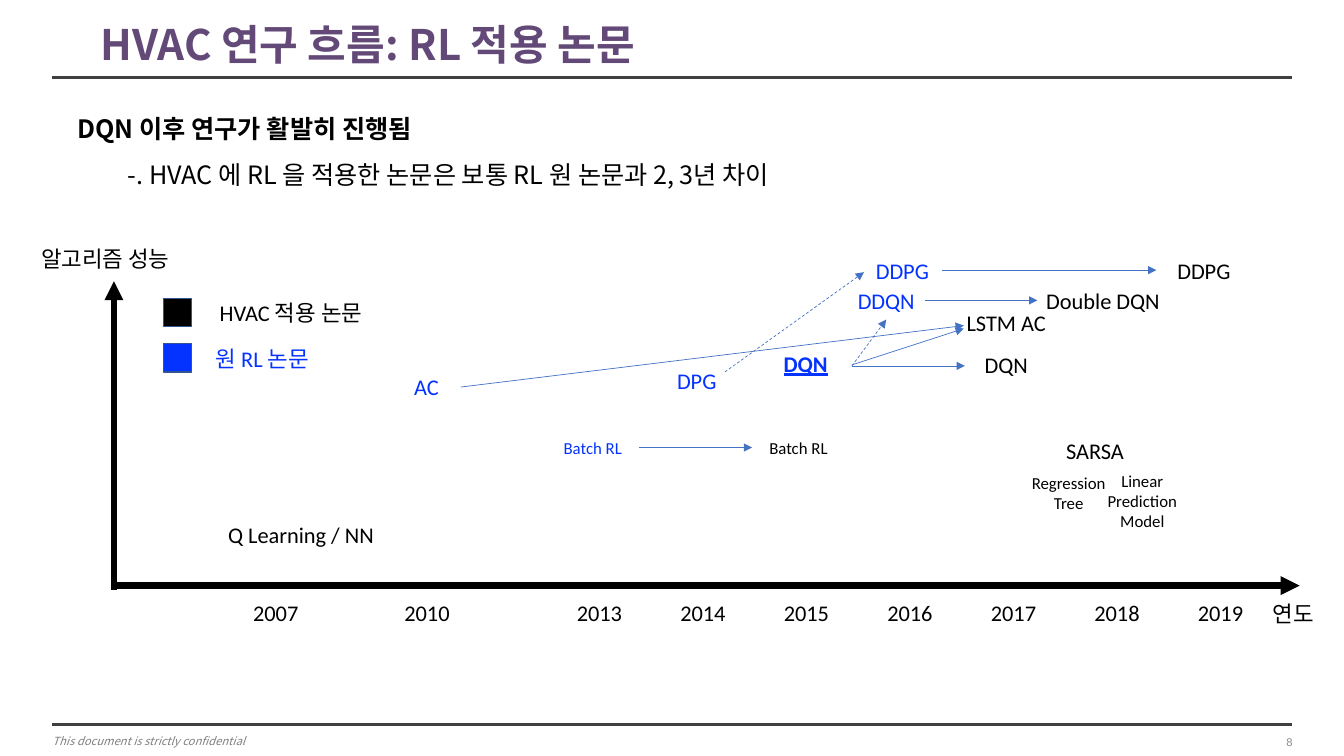
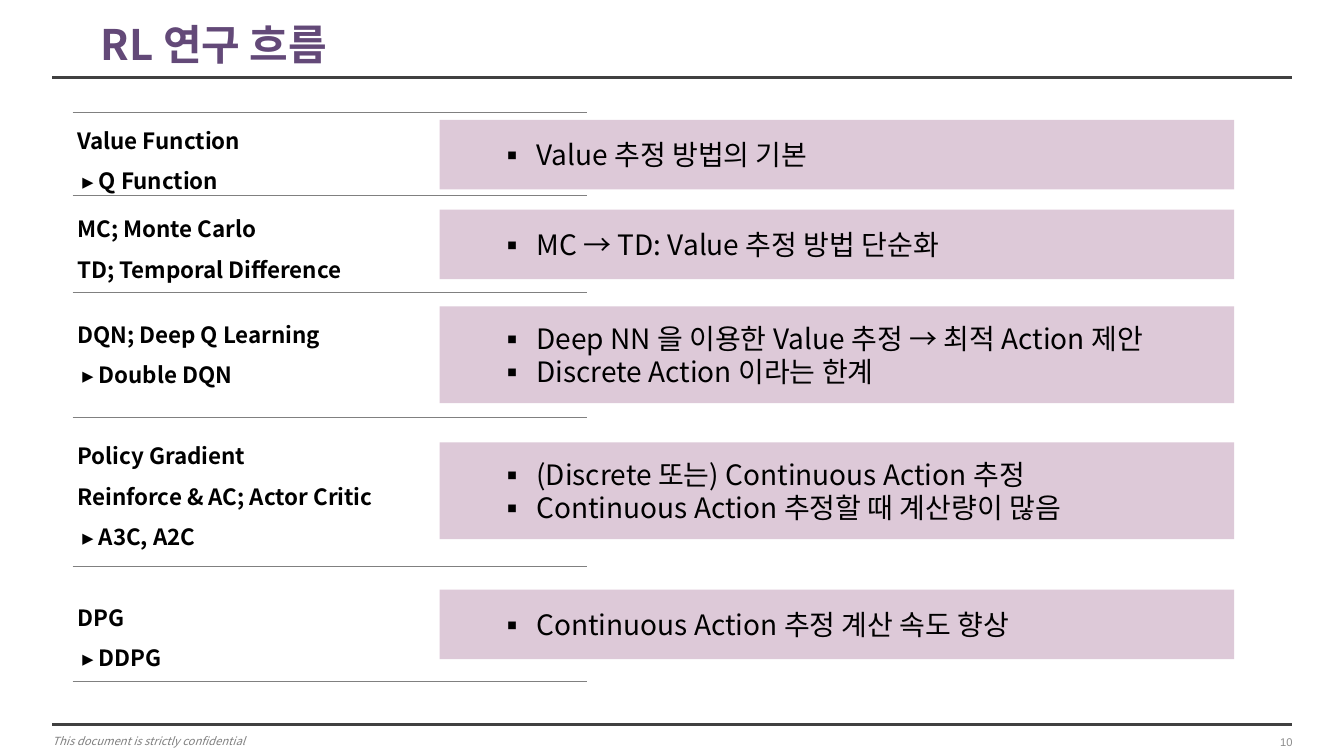
from dataclasses import dataclass, field

from lxml.etree import SubElement
from pptx import Presentation
from pptx.dml.color import RGBColor
from pptx.enum.dml import MSO_LINE
from pptx.enum.shapes import MSO_CONNECTOR, MSO_SHAPE
from pptx.enum.text import MSO_ANCHOR, PP_ALIGN
from pptx.oxml.ns import qn
from pptx.util import Inches, Pt


# Theme: colours, fonts and type sizes
@dataclass(frozen=True)
class Theme:
    black: RGBColor = RGBColor(0x00, 0x00, 0x00)
    blue: RGBColor = RGBColor(0x04, 0x32, 0xFF)
    title: RGBColor = RGBColor(0x63, 0x49, 0x78)
    band: RGBColor = RGBColor(0xDD, 0xC9, 0xD8)
    rule: RGBColor = RGBColor(0x40, 0x40, 0x40)
    gray: RGBColor = RGBColor(0x80, 0x80, 0x80)
    page: RGBColor = RGBColor(0x8C, 0x8C, 0x8C)
    arrow: RGBColor = RGBColor(0x44, 0x72, 0xC4)
    edge: RGBColor = RGBColor(0x32, 0x54, 0x91)
    sans: str = "Noto Sans CJK KR"
    chart: str = "Calibri"
    plain: str = "Arial"
    head: int = 30
    point: int = 20
    lead: int = 18
    body: int = 16
    small: int = 12
    foot: int = 8


T = Theme()
LEFT, MID, RIGHT = PP_ALIGN.LEFT, PP_ALIGN.CENTER, PP_ALIGN.RIGHT


# Records for the repeated elements
@dataclass
class Para:
    text: str
    font: dict = field(default_factory=dict)
    indent: float = 0
    hang: float = 0
    before: float = 0
    bullet: str = ""


@dataclass
class Label:
    text: str
    x: float
    y: float
    color: RGBColor = T.black
    size: int = T.body
    width: float = 1.54
    align: PP_ALIGN = MID
    extra: dict = field(default_factory=dict)


@dataclass
class Arrow:
    x1: float
    y1: float
    x2: float
    y2: float
    dash: bool = False


@dataclass
class Band:
    y: float
    height: float
    lines: list[str]


# Drawing functions
def style(size: int, color: RGBColor, name: str, **extra) -> dict:
    return {"size": Pt(size), "color": color, "name": name, **extra}


def fill_text(frame, paras: list[Para], base: dict, align=LEFT,
              anchor=MSO_ANCHOR.TOP, space: float = 1,
              inset: tuple = (0.1, 0.05, 0.1, 0.05)) -> None:
    left, top, right, low = map(Inches, inset)
    form = {"word_wrap": True, "vertical_anchor": anchor, "margin_left": left,
            "margin_top": top, "margin_right": right, "margin_bottom": low}
    for key, value in form.items():
        setattr(frame, key, value)
    for i, item in enumerate(paras):
        para = frame.add_paragraph() if i else frame.paragraphs[0]
        para.alignment, para.line_spacing = align, space
        if item.before:
            para.space_before = Pt(item.before)
        props = para._p.get_or_add_pPr()
        if item.indent:
            props.set("marL", str(Inches(item.indent)))
            props.set("indent", str(Inches(item.hang)))
        if item.bullet:
            SubElement(props, qn("a:buFont"), typeface=T.sans)
            SubElement(props, qn("a:buChar"), char=item.bullet)
        run = para.add_run()
        run.text = item.text
        for key, value in {**base, **item.font}.items():
            if key == "color":
                run.font.color.rgb = value
            else:
                setattr(run.font, key, value)
        SubElement(run._r.get_or_add_rPr(), qn("a:ea"), typeface=T.sans)


def add_text(slide, spot: tuple, paras: list[Para], base: dict, **form) -> None:
    box = slide.shapes.add_textbox(*map(Inches, spot))
    fill_text(box.text_frame, paras, base, **form)


def add_line(slide, ends: Arrow, color: RGBColor, width: float,
             tip: bool = False) -> None:
    line = slide.shapes.add_connector(
        MSO_CONNECTOR.STRAIGHT,
        *map(Inches, (ends.x1, ends.y1, ends.x2, ends.y2)))
    line.line.color.rgb = color
    line.line.width = Pt(width)
    if ends.dash:
        line.line.dash_style = MSO_LINE.DASH
    if tip:
        SubElement(line.line._get_or_add_ln(), qn("a:tailEnd"), type="triangle")
    SubElement(line._element.spPr, qn("a:effectLst"))


def add_rect(slide, spot: tuple, color: RGBColor, edge: RGBColor | None = None):
    rect = slide.shapes.add_shape(MSO_SHAPE.RECTANGLE, *map(Inches, spot))
    rect.shadow.inherit = False
    rect.fill.solid()
    rect.fill.fore_color.rgb = color
    if edge is None:
        rect.line.fill.background()
    else:
        rect.line.color.rgb = edge
        rect.line.width = Pt(1)
    return rect


def add_label(slide, tag: Label) -> None:
    paras = [Para(text) for text in tag.text.split("\n")]
    add_text(slide, (tag.x, tag.y, tag.width, 0.37), paras,
             style(tag.size, tag.color, T.chart, **tag.extra), align=tag.align)


def add_slide(deck, title: str, page: int):
    """Blank slide with the shared title, rules and footer."""
    slide = deck.slides.add_slide(deck.slide_layouts[6])
    mid = MSO_ANCHOR.MIDDLE
    add_text(slide, (0.52, 7.15, 4.3, 0.4),
             [Para("This document is strictly confidential")],
             style(T.foot, T.gray, T.sans, italic=True),
             anchor=mid, inset=(0, 0, 0, 0))
    add_text(slide, (9.92, 7.16, 3, 0.4), [Para(str(page))],
             style(T.foot, T.page, T.plain), align=RIGHT, anchor=mid)
    for y in (0.77, 7.19):
        add_line(slide, Arrow(0.52, y, 12.81, y), T.rule, 2.25)
    add_text(slide, (0.9, 0.13, 11.51, 0.68), [Para(title)],
             style(T.head, T.title, T.sans, bold=True), anchor=mid, space=0.9)
    return slide


# Slide: papers on a time line
LABELS = [
    Label("연도", 12.34, 5.9, width=0.79, align=RIGHT),
    Label("알고리즘 성능", 0.18, 2.38, width=1.6, align=RIGHT),
    Label("Q Learning / NN", 1.74, 5.12, width=2.49),
    Label("Batch RL", 7.15, 4.29, size=T.small),
    Label("SARSA", 10.09, 4.29),
    Label("Regression\nTree", 9.83, 4.64, size=T.small),
    Label("Linear\nPrediction\nModel", 10.56, 4.62, size=T.small),
    Label("DQN", 9.21, 3.43),
    Label("LSTM AC", 9.21, 3.02),
    Label("Double DQN", 10.17, 2.8),
    Label("DDPG", 11.17, 2.5),
    Label("Batch RL", 5.11, 4.29, T.blue, T.small),
    Label("DQN", 7.22, 3.42, T.blue, extra={"bold": True, "underline": True}),
    Label("DDQN", 8.02, 2.8, T.blue),
    Label("DDPG", 8.18, 2.5, T.blue),
    Label("AC", 3.46, 3.65, T.blue),
    Label("DPG", 6.14, 3.59, T.blue),
    Label("HVAC 적용 논문", 2.08, 2.92, width=2.11, align=LEFT),
    Label("원 RL 논문", 2.04, 3.37, T.blue, width=2.49, align=LEFT),
]
ARROWS = [
    Arrow(6.34, 4.44, 7.46, 4.44),
    Arrow(8.45, 3.63, 9.57, 3.63),
    Arrow(9.17, 2.98, 10.29, 2.98),
    Arrow(9.34, 2.68, 11.47, 2.68),
    Arrow(8.45, 3.62, 9.56, 3.26),
    Arrow(4.57, 3.84, 9.56, 3.23),
    Arrow(8.45, 3.63, 8.79, 3.17, dash=True),
    Arrow(7.19, 3.69, 8.57, 2.7, dash=True),
]


def draw_papers(deck) -> None:
    slide = add_slide(deck, "HVAC 연구 흐름: RL 적용 논문", 8)
    # Axes and years
    for axis in (Arrow(1.13, 5.81, 12.89, 5.81), Arrow(1.13, 5.85, 1.13, 2.79)):
        add_line(slide, axis, T.black, 4.5, tip=True)
    years = {2007: 2.34, 2010: 3.84}
    years |= {2013 + i: 5.55 + i * 6.16 / 6 for i in range(7)}
    for year, x in years.items():
        add_label(slide, Label(str(year), x, 5.89, width=0.79))
    # Papers, links and legend
    for tag in LABELS:
        add_label(slide, tag)
    for arrow in ARROWS:
        add_line(slide, arrow, T.arrow, 0.5, tip=True)
    for y, color in ((2.96, T.black), (3.41, T.blue)):
        add_rect(slide, (1.62, y, 0.28, 0.28), color, T.edge)
    # Key message
    add_text(slide, (0.67, 0.93, 12.23, 0.97), [
        Para("DQN 이후 연구가 활발히 진행됨", {"bold": True}),
        Para("-. HVAC 에 RL 을 적용한 논문은 보통 RL 원 논문과 2, 3년 차이",
             indent=0.5),
    ], style(T.lead, T.black, T.sans), space=1.5)


# Slide: steps of RL research
STEPS = [
    (0, ["Value Function", "▸ Q Function"]),
    (5.5, ["MC; Monte Carlo", "TD; Temporal Difference"]),
    (18, ["DQN; Deep Q Learning", "▸ Double DQN"]),
    (29, ["Policy Gradient", "Reinforce & AC; Actor Critic", "▸ A3C, A2C"]),
    (29, ["DPG", "▸ DDPG"]),
]
BANDS = [
    Band(1.19, 0.69, ["Value 추정 방법의 기본"]),
    Band(2.08, 0.69, ["MC → TD: Value 추정 방법 단순화"]),
    Band(3.04, 0.96, ["Deep NN 을 이용한 Value 추정 → 최적 Action 제안",
                      "Discrete Action 이라는 한계"]),
    Band(4.39, 0.96, ["(Discrete 또는) Continuous Action 추정",
                      "Continuous Action 추정할 때 계산량이 많음"]),
    Band(5.85, 0.69, ["Continuous Action 추정 계산 속도 향상"]),
]


def draw_steps(deck) -> None:
    slide = add_slide(deck, "RL 연구 흐름", 10)
    # Method names, with a gap before each step
    names = [Para(name, indent=0.05 if name.startswith("▸") else 0,
                  before=0 if i else gap)
             for gap, group in STEPS for i, name in enumerate(group)]
    add_text(slide, (0.67, 1.08, 12.23, 5.64), names,
             style(T.body, T.black, T.sans, bold=True), space=1.5)
    # Rules and bands
    for y in (1.11, 1.94, 2.9, 4.14, 5.62, 6.76):
        add_line(slide, Arrow(0.72, y, 5.82, y), T.gray, 0.5)
    for band in BANDS:
        rect = add_rect(slide, (4.36, band.y, 7.88, band.height), T.band)
        paras = [Para(text, indent=0.88, hang=-0.38, bullet="▪")
                 for text in band.lines]
        fill_text(rect.text_frame, paras, style(T.point, T.black, T.sans),
                  anchor=MSO_ANCHOR.MIDDLE, inset=(0.08, 0.05, 0.04, 0.05))


def main() -> None:
    deck = Presentation()
    deck.slide_width, deck.slide_height = Inches(13.33), Inches(7.5)
    draw_papers(deck)
    draw_steps(deck)
    deck.save("out.pptx")


if __name__ == "__main__":
    main()
